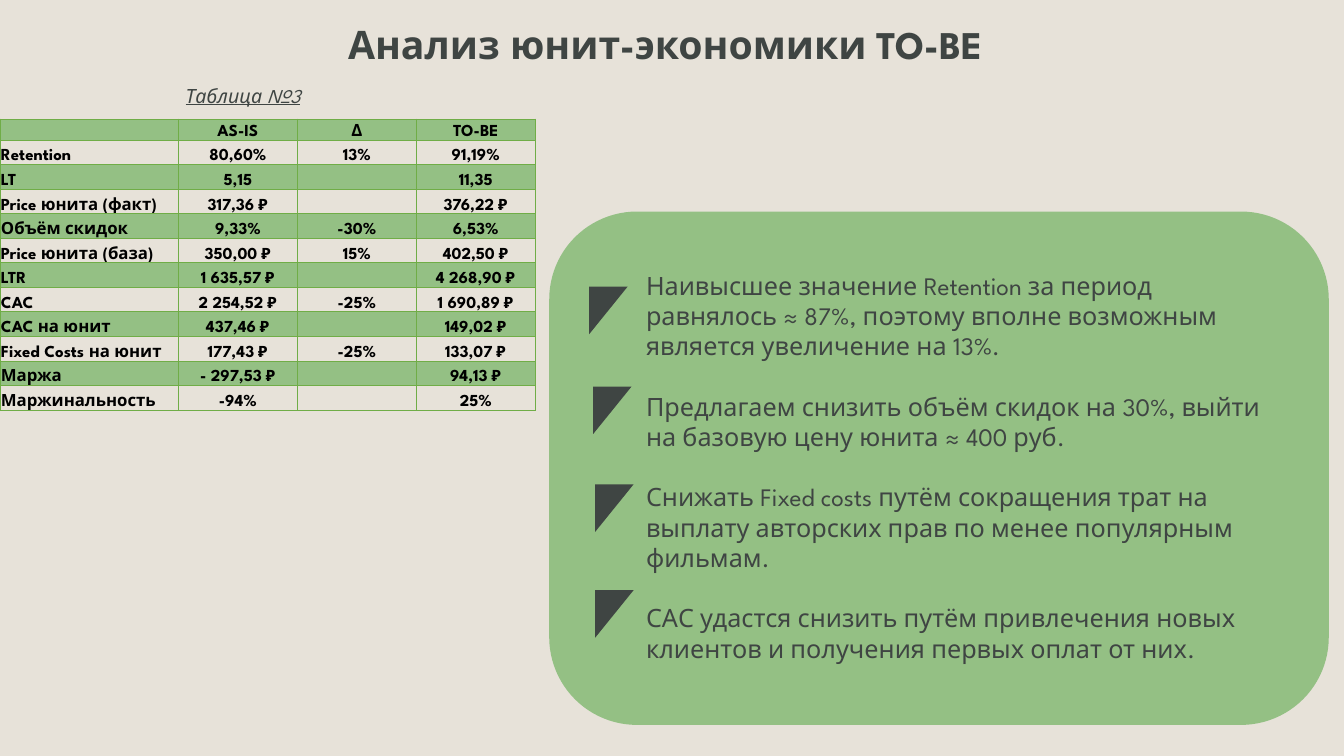
from lxml import etree
from pptx import Presentation, util as u
from pptx.dml.color import RGBColor
from pptx.enum import shapes, text
from pptx.oxml import ns

BEIGE = RGBColor(0xE7, 0xE2, 0xD9)
GREEN = RGBColor(0x94, 0xC0, 0x84)
BORDER = RGBColor(0x70, 0xAD, 0x47)
DARK = RGBColor(0x3F, 0x45, 0x43)
BLACK = RGBColor(0x00, 0x00, 0x00)
FONT = "League Spartan"

presentation = Presentation()
presentation.slide_width = u.Inches(13.33)
presentation.slide_height = u.Inches(7.5)
slide = presentation.slides.add_slide(presentation.slide_layouts[6])
slide.background.fill.solid()
slide.background.fill.fore_color.rgb = BEIGE


def place(left, top, width, height):
    """Turn percentages of the slide into a position and a size."""
    across = presentation.slide_width / 100
    down = presentation.slide_height / 100
    return [round(length) for length in
            (left * across, top * down, width * across, height * down)]


def add_run(paragraph, words, size, color, bold=False):
    run = paragraph.add_run()
    run.text = words
    run.font.name = FONT
    run.font.size = u.Pt(size)
    run.font.color.rgb = color
    run.font.bold = bold
    return run


# Green panel
panel = slide.shapes.add_shape(shapes.MSO_SHAPE.ROUNDED_RECTANGLE,
                               *place(41.1, 28.4, 57.53, 67.07))
panel.shadow.inherit = False
panel.fill.solid()
panel.fill.fore_color.rgb = GREEN
panel.line.color.rgb = GREEN
panel.line.width = u.Pt(4.5)

# Title, table caption and conclusions
TITLE = ["Анализ юнит-экономики TO-BE"]
CAPTION = ["Таблица №3"]
CONCLUSIONS = [
    "Наивысшее значение Retention за период равнялось ≈ 87%, "
    "поэтому вполне возможным является увеличение на 13%.",
    "Предлагаем снизить объём скидок на 30%, выйти на базовую цену юнита ≈ 400 руб.",
    "Снижать Fixed costs путём сокращения трат на выплату авторских прав "
    "по менее популярным фильмам.",
    "САС удастся снизить путём привлечения новых клиентов и получения "
    "первых оплат от них.",
]
for lines, box, size, alignment in (
    (TITLE, (12.9, 2, 73.2, 7.6), 28, text.PP_ALIGN.CENTER),
    (CAPTION, (1.88, 10.4, 32.4, 4.53), 14, text.PP_ALIGN.CENTER),
    (CONCLUSIONS, (47.33, 35.07, 49.13, 53.87), 18, text.PP_ALIGN.LEFT),
):
    frame = slide.shapes.add_textbox(*place(*box)).text_frame
    frame.word_wrap = True
    frame.auto_size = text.MSO_AUTO_SIZE.SHAPE_TO_FIT_TEXT
    for index, line in enumerate(lines):
        paragraph = frame.add_paragraph() if index else frame.paragraphs[0]
        paragraph.alignment = alignment
        if index:
            paragraph.space_before = u.Pt(21.6)
        run = add_run(paragraph, line, size, DARK, bold=lines is TITLE)
        if lines is CAPTION:
            run.font.italic = True
            run.font.underline = True

# Unit economics table
ROWS = [
    ("", "AS-IS", "Δ", "TO-BE"),
    ("Retention", "80,60%", "13%", "91,19%"),
    ("LT", "5,15", "", "11,35"),
    ("Price юнита (факт)", "317,36 ₽", "", "376,22 ₽"),
    ("Объём скидок", "9,33%", "-30%", "6,53%"),
    ("Price юнита (база)", "350,00 ₽", "15%", "402,50 ₽"),
    ("LTR", "1 635,57 ₽", "", "4 268,90 ₽"),
    ("CAC", "2 254,52 ₽", "-25%", "1 690,89 ₽"),
    ("CAC на юнит", "437,46 ₽", "", "149,02 ₽"),
    ("Fixed Costs на юнит", "177,43 ₽", "-25%", "133,07 ₽"),
    ("Маржа", "- 297,53 ₽", "", "94,13 ₽"),
    ("Маржинальность", "-94%", "", "25%"),
]
COLUMN_PARTS = (3, 2, 2, 2)
left, top, width, height = place(0, 15.73, 39.83, 38.53)
table = slide.shapes.add_table(len(ROWS), len(COLUMN_PARTS),
                               left, top, width, height).table
for column, parts in zip(table.columns, COLUMN_PARTS):
    column.width = width * parts // sum(COLUMN_PARTS)
header_height = u.Inches(0.21)
body_height = (height - header_height) // (len(ROWS) - 1)
for row_index, values in enumerate(ROWS):
    table.rows[row_index].height = body_height if row_index else header_height
    for column_index, value in enumerate(values):
        cell = table.cell(row_index, column_index)
        cell.margin_left = cell.margin_right = cell.margin_top = u.Inches(0.01)
        cell.margin_bottom = 0
        cell.vertical_anchor = text.MSO_ANCHOR.BOTTOM
        paragraph = cell.text_frame.paragraphs[0]
        paragraph.alignment = (text.PP_ALIGN.CENTER if column_index
                               else text.PP_ALIGN.LEFT)
        if value:
            add_run(paragraph, value, 12, BLACK, bold=True)
        else:
            # Keep empty cells as low as the filled ones
            etree.SubElement(paragraph._p, ns.qn("a:endParaRPr"), sz="1200")
        # Borders come before the fill
        properties = cell._tc.get_or_add_tcPr()
        for side in ("a:lnL", "a:lnR", "a:lnT", "a:lnB"):
            border = etree.SubElement(properties, ns.qn(side), w=str(u.Pt(0.5)))
            solid = etree.SubElement(border, ns.qn("a:solidFill"))
            etree.SubElement(solid, ns.qn("a:srgbClr"), val=str(BORDER))
        cell.fill.solid()
        cell.fill.fore_color.rgb = BEIGE if row_index % 2 else GREEN

# Triangle markers beside the conclusions
for left, top in ((43.5, 38.53), (43.8, 51.73), (43.95, 64.67), (43.95, 78.67)):
    marker = slide.shapes.add_shape(shapes.MSO_SHAPE.RIGHT_TRIANGLE,
                                    *place(left, top, 3.53, 5.07))
    marker.rotation = 90
    marker.shadow.inherit = False
    marker.fill.solid()
    marker.fill.fore_color.rgb = DARK
    marker.line.fill.background()

presentation.save("out.pptx")
